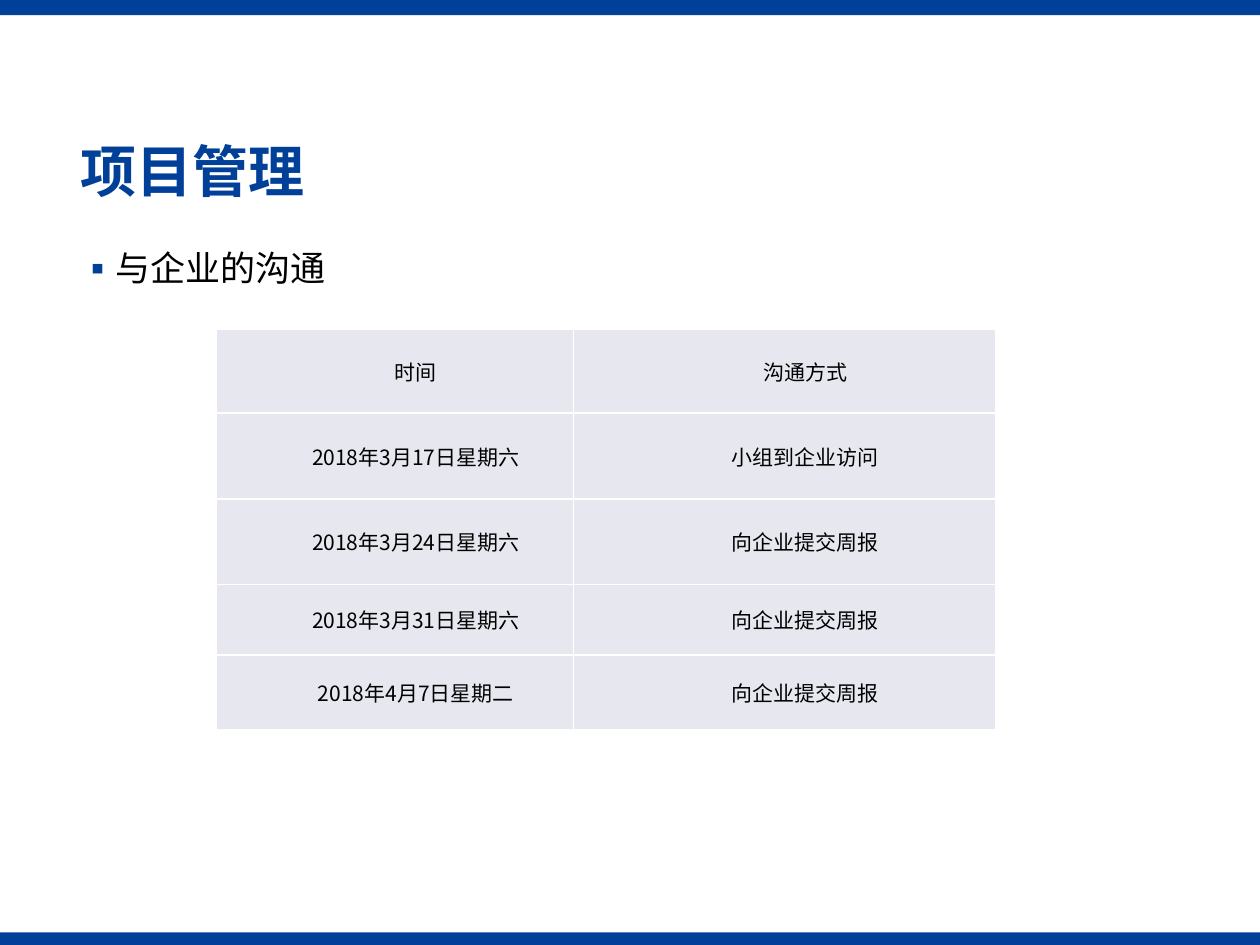
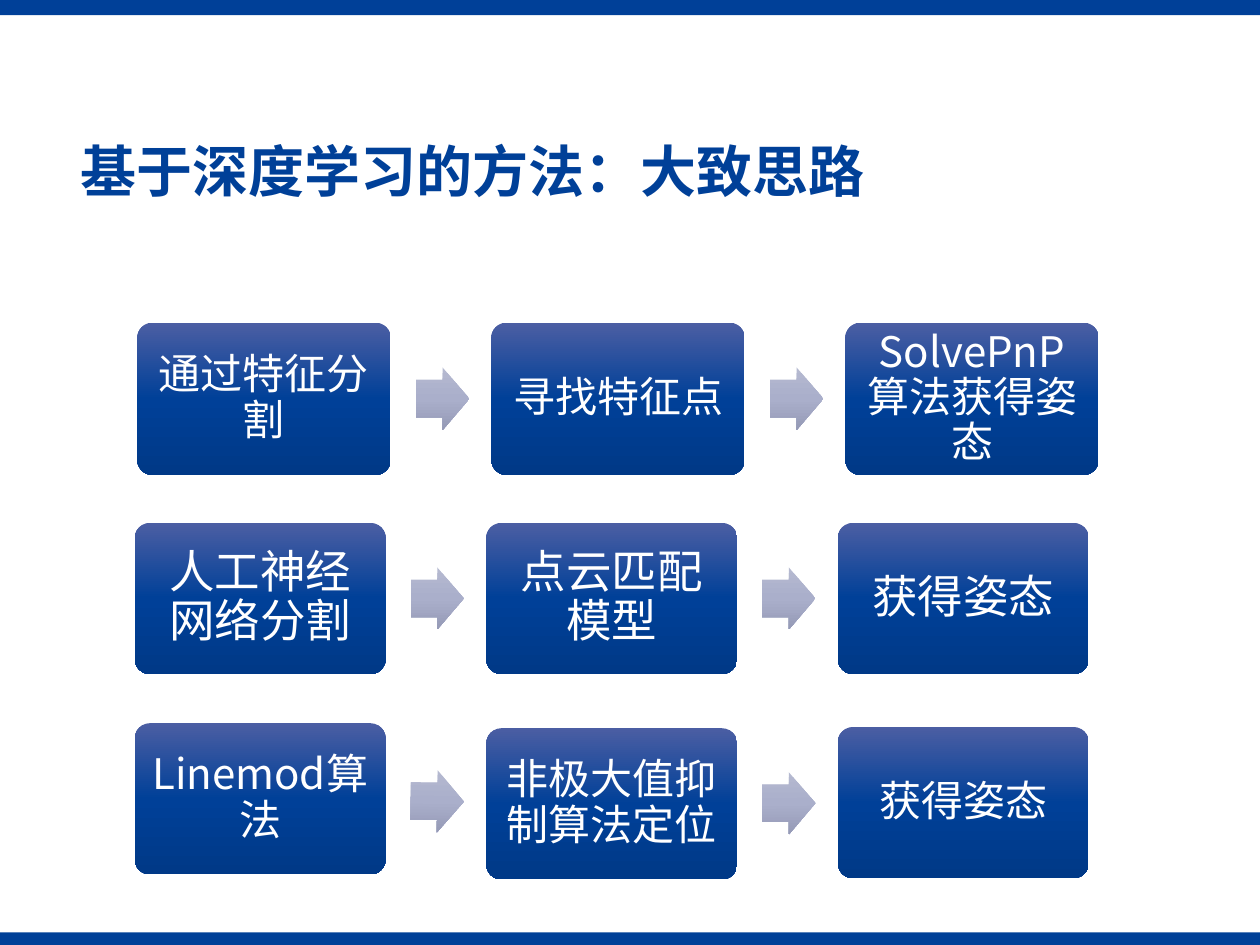
from dataclasses import dataclass
from math import atan2, degrees

from lxml import etree
from pptx import Presentation
from pptx import util as u
from pptx.dml.color import RGBColor
from pptx.enum import shapes, text
from pptx.oxml import ns

FONT = "Noto Sans CJK SC"
HEX = {
    "blue": "004098",
    "black": "000000",
    "white": "FFFFFF",
    "cell": "E7E8EF",
}
STEP_FILL = ("4B5EA3", "004098", "003987")
ARROW_FILL = ("B5B9D0", "AAAFCB", "959AB6")
LEFT, MID = text.PP_ALIGN.LEFT, text.PP_ALIGN.CENTER
BOX_GAP, ARROW_GAP = 0.8, 0.2


@dataclass
class Band:
    top: float
    height: float


@dataclass
class Flow:
    left: float
    tops: tuple[float, ...]
    width: float
    height: float
    size: float
    inset: float
    steps: tuple[str, ...]


BANDS = (Band(7.4, 0.1), Band(0, 0.12))
ROWS = (
    ("时间", "沟通方式"),
    ("2018年3月17日星期六", "小组到企业访问"),
    ("2018年3月24日星期六", "向企业提交周报"),
    ("2018年3月31日星期六", "向企业提交周报"),
    ("2018年4月7日星期二", "向企业提交周报"),
)
COL_WIDTHS = (2.83, 3.35)
ROW_HEIGHTS = (0.67, 0.68, 0.68, 0.56, 0.59)
FLOWS = (
    Flow(1.09, (2.56,) * 3, 2.01, 1.21, 24, 0.1,
         ("通过特征分割", "寻找特征点", "SolvePnP算法获得姿态")),
    Flow(1.07, (4.15,) * 3, 1.99, 1.2, 26, 0.11,
         ("人工神经网络分割", "点云匹配模型", "获得姿态")),
    Flow(1.07, (5.74, 5.78, 5.77), 1.99, 1.2, 24, 0.1,
         ("Linemod算法", "非极大值抑制算法定位", "获得姿态")),
)


def rgb(name: str) -> RGBColor:
    return RGBColor.from_string(HEX[name])


def sub(node, tag: str, **attrs: str):
    return etree.SubElement(node, ns.qn(tag), **attrs)


def write(frame, words: str, *, size: float, color: str, bold: bool = False,
          align=LEFT, space: float = 1.0, indent: float = 0,
          margin: float = 0, bullet: str = "") -> None:
    """Put one formatted paragraph into a text frame."""
    para = frame.paragraphs[0]
    props = para._p.get_or_add_pPr()
    props.set("marL", str(u.Inches(margin)))
    props.set("indent", str(u.Inches(indent)))
    if bullet:
        sub(sub(props, "a:buClr"), "a:srgbClr", val=HEX["blue"])
        sub(props, "a:buFont", typeface=FONT)
        sub(props, "a:buChar", char=bullet)
    para.alignment = align
    para.line_spacing = space
    para.space_before = u.Pt(0)
    run = para.add_run()
    run.text = words
    font = run.font
    font.size, font.bold, font.name = u.Pt(size), bold, FONT
    font.color.rgb = rgb(color)
    sub(run._r.get_or_add_rPr(), "a:ea", typeface=FONT)


def place(shape, left: float, top: float, width: float, height: float) -> None:
    shape.left, shape.top = u.Inches(left), u.Inches(top)
    shape.width, shape.height = u.Inches(width), u.Inches(height)


def draw(parent, kind, left: float, top: float, width: float, height: float):
    """Add a preset shape without line or shadow."""
    shape = parent.add_shape(kind, u.Inches(left), u.Inches(top),
                             u.Inches(width), u.Inches(height))
    shape.shadow.inherit = False
    shape.line.fill.background()
    return shape


def shade(shape, colors: tuple[str, ...]) -> None:
    """Fill from top to bottom with evenly spaced colours."""
    shape.fill.gradient()
    shape.fill.gradient_angle = 270
    stops = shape._element.spPr.find(".//" + ns.qn("a:gsLst"))
    for old in list(stops):
        stops.remove(old)
    for i, color in enumerate(colors):
        pos = str(100000 * i // (len(colors) - 1))
        sub(sub(stops, "a:gs", pos=pos), "a:srgbClr", val=color)


def start(deck, layout: int, title: str):
    """Add a slide with the shared bands and title."""
    slide = deck.slides.add_slide(deck.slide_layouts[layout])
    for band in BANDS:
        bar = draw(slide.shapes, shapes.MSO_SHAPE.RECTANGLE,
                   0, band.top, 10, band.height)
        bar.fill.solid()
        bar.fill.fore_color.rgb = rgb("blue")
    head = slide.shapes.title
    place(head, 0.54, 1.07, 9.16, 0.63)
    frame = head.text_frame
    frame.auto_size = text.MSO_AUTO_SIZE.NONE
    frame.vertical_anchor = text.MSO_ANCHOR.MIDDLE
    write(frame, title, size=32, color="blue", bold=True, space=0.9)
    return slide


def edge(cell) -> None:
    """Give a cell thin white borders."""
    props = cell._tc.get_or_add_tcPr()
    for side in ("lnL", "lnR", "lnT", "lnB"):
        line = sub(props, f"a:{side}", w=str(u.Pt(1)))
        sub(sub(line, "a:solidFill"), "a:srgbClr", val=HEX["white"])


def add_plan(slide) -> None:
    """Add the table of contact dates."""
    table = slide.shapes.add_table(
        len(ROWS), len(COL_WIDTHS), u.Inches(1.72), u.Inches(2.61),
        u.Inches(sum(COL_WIDTHS)), u.Inches(sum(ROW_HEIGHTS))).table
    table.first_row = table.horz_banding = False
    for col, width in zip(table.columns, COL_WIDTHS):
        col.width = u.Inches(width)
    for row, height, words in zip(table.rows, ROW_HEIGHTS, ROWS):
        row.height = u.Inches(height)
        for cell, word in zip(row.cells, words):
            edge(cell)
            cell.fill.solid()
            cell.fill.fore_color.rgb = rgb("cell")
            cell.margin_left = cell.margin_right = u.Inches(0.07)
            cell.margin_top = cell.margin_bottom = 0
            cell.vertical_anchor = text.MSO_ANCHOR.MIDDLE
            write(cell.text_frame, word, size=12, color="black",
                  align=MID, indent=0.33)


def add_flow(slide, flow: Flow) -> None:
    """Add one row of steps, with an arrow between neighbours."""
    group = slide.shapes.add_group_shape().shapes
    pitch = flow.width + BOX_GAP
    wide, high = flow.width * 0.212, flow.height * 0.41
    for i, (step, top) in enumerate(zip(flow.steps, flow.tops)):
        left = flow.left + i * pitch
        box = draw(group, shapes.MSO_SHAPE.ROUNDED_RECTANGLE,
                   left, top, flow.width, flow.height)
        box.adjustments[0] = 0.1
        shade(box, STEP_FILL)
        frame = box.text_frame
        frame.word_wrap = True
        frame.vertical_anchor = text.MSO_ANCHOR.MIDDLE
        frame.margin_left = frame.margin_right = u.Inches(flow.inset)
        frame.margin_top = frame.margin_bottom = u.Inches(flow.inset)
        write(frame, step, size=flow.size, color="white", align=MID, space=0.9)
        if i + 1 < len(flow.steps):
            # Arrow points at the centre of the next step
            after = flow.tops[i + 1]
            mid = (top + after + flow.height) / 2
            arrow = draw(group, shapes.MSO_SHAPE.RIGHT_ARROW,
                         left + flow.width + ARROW_GAP, mid - high / 2,
                         wide, high)
            arrow.adjustments[0], arrow.adjustments[1] = 0.6, 0.5
            arrow.rotation = degrees(atan2(after - top, pitch))
            shade(arrow, ARROW_FILL)


def main() -> None:
    deck = Presentation()
    deck.slide_width, deck.slide_height = u.Inches(10), u.Inches(7.5)

    # Project contacts
    slide = start(deck, 1, "项目管理")
    body = slide.placeholders[1]
    place(body, 0.54, 1.84, 9.16, 5.38)
    body.text_frame.auto_size = text.MSO_AUTO_SIZE.NONE
    write(body.text_frame, "与企业的沟通", size=20, color="black", space=1.2,
          margin=0.25, indent=-0.25, bullet="▪")
    add_plan(slide)

    # Method outline
    slide = start(deck, 5, "基于深度学习的方法：大致思路")
    for flow in FLOWS:
        add_flow(slide, flow)

    deck.save("out.pptx")


if __name__ == "__main__":
    main()
